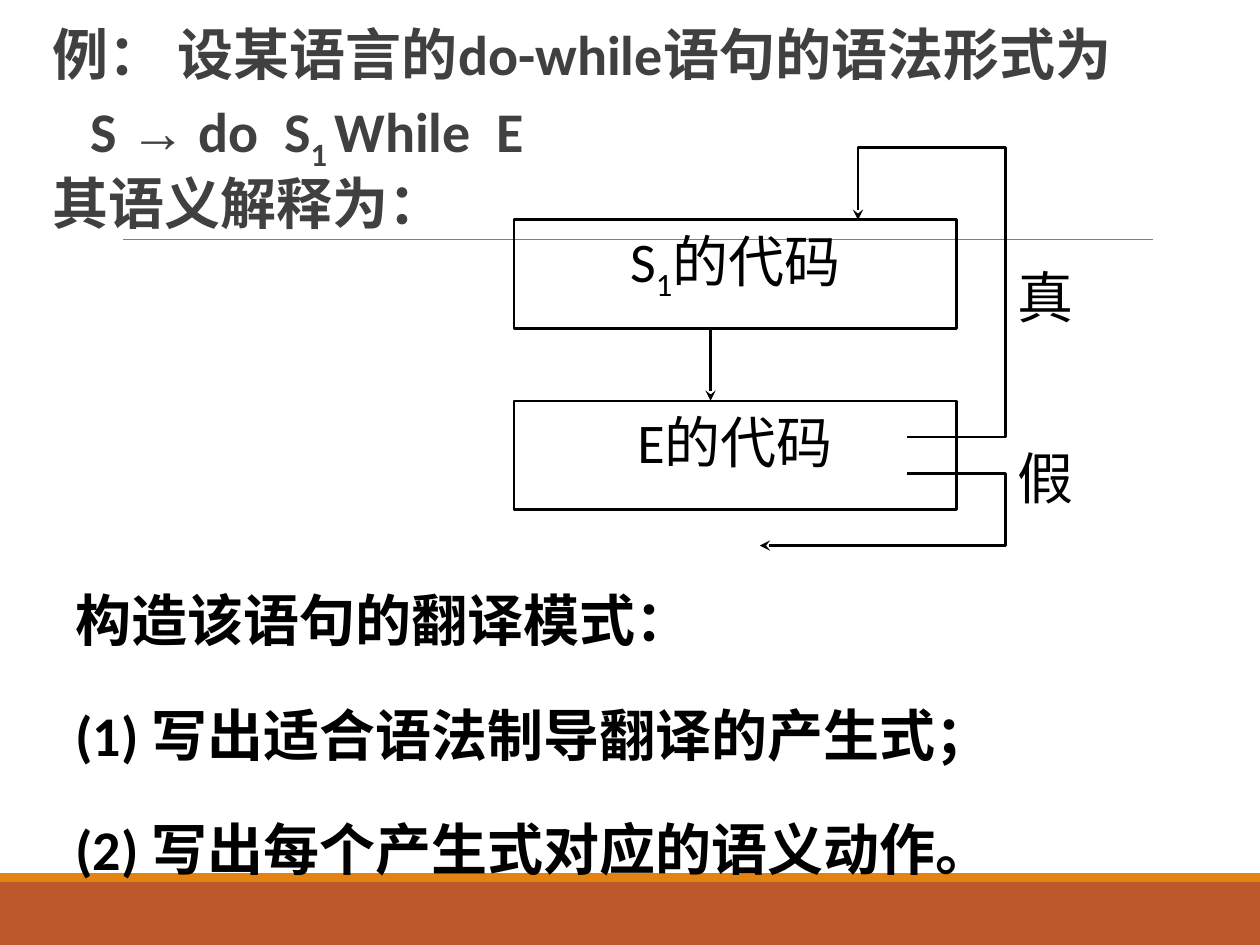
import pptx
import pptx.util
import pptx.dml.color
import pptx.enum.shapes
import pptx.enum.text
import pptx.oxml
import pptx.oxml.ns
import lxml.etree

HUES = {"rust": "BD582C", "gold": "E48312", "rule": "7F7F7F", "head": "404040", "ink": "000000"}
FONT = "Calibri"
SIZE = 32
WIDE, HIGH = 10, 7.5
ALIGN = pptx.enum.text.PP_ALIGN
KINDS = pptx.enum.shapes


def inch(num):
    return pptx.util.Inches(num)


def hue(name):
    return pptx.dml.color.RGBColor.from_string(HUES[name])


def col(num):
    return 4.08 + 0.39 * num


def row(num):
    return 1.17 + 3.16 * num / 11


def area(left, top, right, base):
    return col(left), row(top), col(right) - col(left), row(base) - row(top)


def child(node, tag, **attrs):
    part = lxml.etree.SubElement(node, pptx.oxml.ns.qn(tag))
    for key, value in attrs.items():
        part.set(key, value)
    return part


def stroke(shape, name, width, arrow=False):
    shape.line.color.rgb = hue(name)
    shape.line.width = pptx.util.Pt(width)
    if arrow:
        child(shape.line._get_or_add_ln(), "a:tailEnd", type="stealth")


def band(slide, top, tall, name):
    shape = slide.shapes.add_shape(
        KINDS.MSO_SHAPE.RECTANGLE, 0, inch(top), inch(WIDE), inch(tall))
    shape.shadow.inherit = False
    shape.fill.solid()
    shape.fill.fore_color.rgb = hue(name)
    shape.line.fill.background()


def link(slide, start, end, name, width, arrow=False):
    line = slide.shapes.add_connector(
        KINDS.MSO_CONNECTOR.STRAIGHT, *map(inch, start + end))
    stroke(line, name, width, arrow)
    child(line._element.spPr, "a:effectLst")


def route(slide, cells):
    spots = [(inch(col(x)), inch(row(y))) for x, y in cells]
    maker = slide.shapes.build_freeform(*spots[0])
    maker.add_line_segments(spots[1:], close=False)
    shape = maker.convert_to_shape()
    shape.shadow.inherit = False
    shape.fill.background()
    stroke(shape, "ink", 1.5, True)


def write(shape, lines, name="ink", bold=False, align=ALIGN.LEFT, side=0.1,
          space=1, before=0, after=0, hang=0):
    frame = shape.text_frame
    frame.word_wrap = True
    frame.vertical_anchor = pptx.enum.text.MSO_ANCHOR.TOP
    frame.margin_left = frame.margin_right = inch(side)
    frame.margin_top = frame.margin_bottom = inch(0.05)
    for num, line in enumerate(lines):
        para = frame.add_paragraph() if num else frame.paragraphs[0]
        para.alignment = align
        para.line_spacing = space
        para.space_before = pptx.util.Pt(before)
        para.space_after = pptx.util.Pt(after)
        if hang:
            props = para._p.get_or_add_pPr()
            props.set("marL", str(inch(hang)))
            props.set("indent", str(-inch(hang)))
        for text, *style in line:
            run = para.add_run()
            run.text = text
            font = run.font
            font.name = "Arial" if "arrow" in style else FONT
            font.size = pptx.util.Pt(SIZE)
            font.bold = bold
            font.color.rgb = hue(name)
            if "sub" in style:
                font._element.set("baseline", "-25000")


def label(slide, place, lines, **look):
    box = slide.shapes.add_textbox(*map(inch, place))
    write(box, lines, **look)
    return box


def block(slide, place, line):
    shape = slide.shapes.add_shape(KINDS.MSO_SHAPE.RECTANGLE, *map(inch, place))
    shape.shadow.inherit = False
    shape.fill.background()
    stroke(shape, "ink", 1.5)
    write(shape, [line], align=ALIGN.CENTER)


def frame(slide):
    band(slide, 7, 0.5, "rust")
    band(slide, 6.93, 0.07, "gold")
    link(slide, (0.98, 1.9), (9.15, 1.9), "rule", 0.5)


def intro(slide):
    box = label(slide, (0.42, 0.25, 9, 1.78), [
        [("例： 设某语言的do-while语句的语法形式为",)],
        [("S ",), ("→", "arrow"), (" do  S",), ("1 ", "sub"), ("While  E",)],
        [("其语义解释为：",)],
    ], name="head", bold=True, side=0, space=0.7, before=12, after=2, hang=0.1)
    props = box.text_frame.paragraphs[1]._p.get_or_add_pPr()
    props.set("marL", str(inch(0.3)))
    props.set("indent", "0")


def chart(slide):
    for top, text in ((3, "真"), (8, "假")):
        label(slide, area(10, top, 13, top + 3), [[(text,)]], align=ALIGN.JUSTIFY)
    block(slide, area(0, 2, 9, 5), [("S",), ("1", "sub"), ("的代码",)])
    block(slide, area(0, 7, 9, 10), [("E的代码",)])
    route(slide, [(8, 8), (10, 8), (10, 0), (7, 0), (7, 2)])
    route(slide, [(8, 9), (10, 9), (10, 11), (5, 11)])
    link(slide, (col(4), row(5)), (col(4), row(7)), "ink", 1.5, True)


def tasks(slide):
    label(slide, (0.5, 4.33, 8.33, 2.37), [
        [("构造该语句的翻译模式：",)],
        [("(1) 写出适合语法制导翻译的产生式；",)],
        [("(2) 写出每个产生式对应的语义动作。",)],
    ], bold=True, space=1.5, before=8, hang=0.38)


def main():
    deck = pptx.Presentation()
    deck.slide_width, deck.slide_height = inch(WIDE), inch(HIGH)
    slide = deck.slides.add_slide(deck.slide_layouts[6])
    frame(slide)
    intro(slide)
    chart(slide)
    tasks(slide)
    deck.save("out.pptx")


if __name__ == "__main__":
    main()
